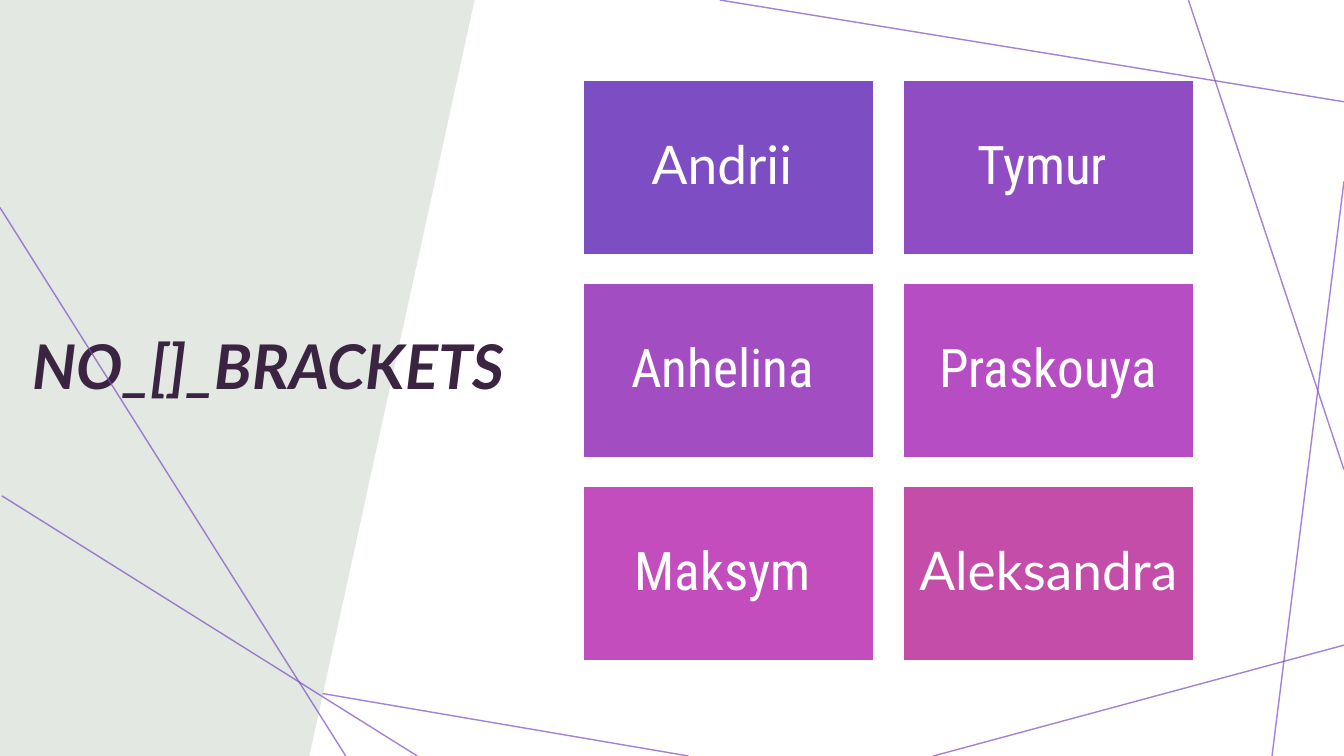
import pptx
import pptx.dml.color
import pptx.enum.shapes
import pptx.enum.text
import pptx.oxml.ns
import pptx.util
from dataclasses import dataclass
from lxml import etree

Pt = pptx.util.Pt
Color = pptx.dml.color.RGBColor.from_string
Align = pptx.enum.text.PP_ALIGN
Anchor = pptx.enum.text.MSO_ANCHOR
qn = pptx.oxml.ns.qn


@dataclass
class Theme:
    panel: str = "E3E8E2"
    title: str = "3B2441"
    accent: str = "7C4DC3"
    white: str = "FFFFFF"
    heading_font: str = "Lato"
    name_font: str = "Roboto Condensed"
    title_size: int = 44
    name_size: int = 38


theme = Theme()
deck = pptx.Presentation()
deck.slide_width = Pt(960)
deck.slide_height = Pt(540)
page = deck.slides.add_slide(deck.slide_layouts[5])

outline = page.shapes.build_freeform(Pt(0), Pt(0))
outline.add_line_segments([(Pt(339), Pt(0)), (Pt(221), Pt(540)), (Pt(0), Pt(540))])
panel = outline.convert_to_shape()
panel.shadow.inherit = False
panel.fill.solid()
panel.fill.fore_color.rgb = Color(theme.panel)
panel.line.fill.background()
page.shapes._spTree.insert(2, panel._element)

title = page.shapes.title
title.left, title.top, title.width, title.height = Pt(16), Pt(198), Pt(389.5), Pt(226)
frame = title.text_frame
frame.text = "NO_[]_BRACKETS"
frame.word_wrap = True
frame.auto_size = pptx.enum.text.MSO_AUTO_SIZE.NONE
frame.vertical_anchor = Anchor.TOP
frame.margin_top = Pt(42.5)
para = frame.paragraphs[0]
para.alignment = Align.LEFT
para.line_spacing = 0.9
span = para.runs[0]
span.font.name = theme.heading_font
span.font.size = Pt(theme.title_size)
span.font.bold = True
span.font.italic = True
span.font.color.rgb = Color(theme.title)

rays = [
    (491.8, 540, 230.4, 495.4),
    (960, 460.8, 666.7, 540),
    (960, 129.6, 908.6, 540),
    (960, 335.5, 848.9, 0),
    (960, 72.7, 514.1, 0),
    (298.1, 540, 1.4, 354.2),
    (0, 148.3, 247, 540),
]
for ends in rays:
    ray = page.shapes.add_connector(
        pptx.enum.shapes.MSO_CONNECTOR.STRAIGHT, *[Pt(value) for value in ends]
    )
    ray.line.width = Pt(1)
    ray.line.color.rgb = Color(theme.accent)
    properties = ray._element.spPr
    tint = properties.find(".//" + qn("a:srgbClr"))
    etree.SubElement(tint, qn("a:alpha")).set("val", "70000")
    etree.SubElement(properties, qn("a:effectLst"))

members = [
    ("Andrii ", theme.accent, theme.heading_font),
    ("Tymur ", "904DC3", theme.name_font),
    ("Anhelina ", "A34DC3", theme.name_font),
    ("Praskouya", "B74DC3", theme.name_font),
    ("Maksym ", "C34DBC", theme.name_font),
    ("Aleksandra", "C34DA8", theme.heading_font),
]
for index, (name, color, font) in enumerate(members):
    row, column = divmod(index, 2)
    card = page.shapes.add_shape(
        pptx.enum.shapes.MSO_SHAPE.RECTANGLE,
        Pt(417 + 228.3 * column), Pt(57.6 + 145 * row), Pt(207), Pt(124.5),
    )
    card.shadow.inherit = False
    card.fill.solid()
    card.fill.fore_color.rgb = Color(color)
    card.line.color.rgb = Color(theme.white)
    card.line.width = Pt(1)
    frame = card.text_frame
    frame.text = name
    frame.word_wrap = True
    frame.vertical_anchor = Anchor.MIDDLE
    frame.margin_left = frame.margin_right = Pt(10)
    frame.margin_top = frame.margin_bottom = Pt(11.5)
    para = frame.paragraphs[0]
    para.alignment = Align.CENTER
    para.line_spacing = 0.9
    span = para.runs[0]
    span.font.name = font
    span.font.size = Pt(theme.name_size)
    span.font.color.rgb = Color(theme.white)

deck.save("out.pptx")
